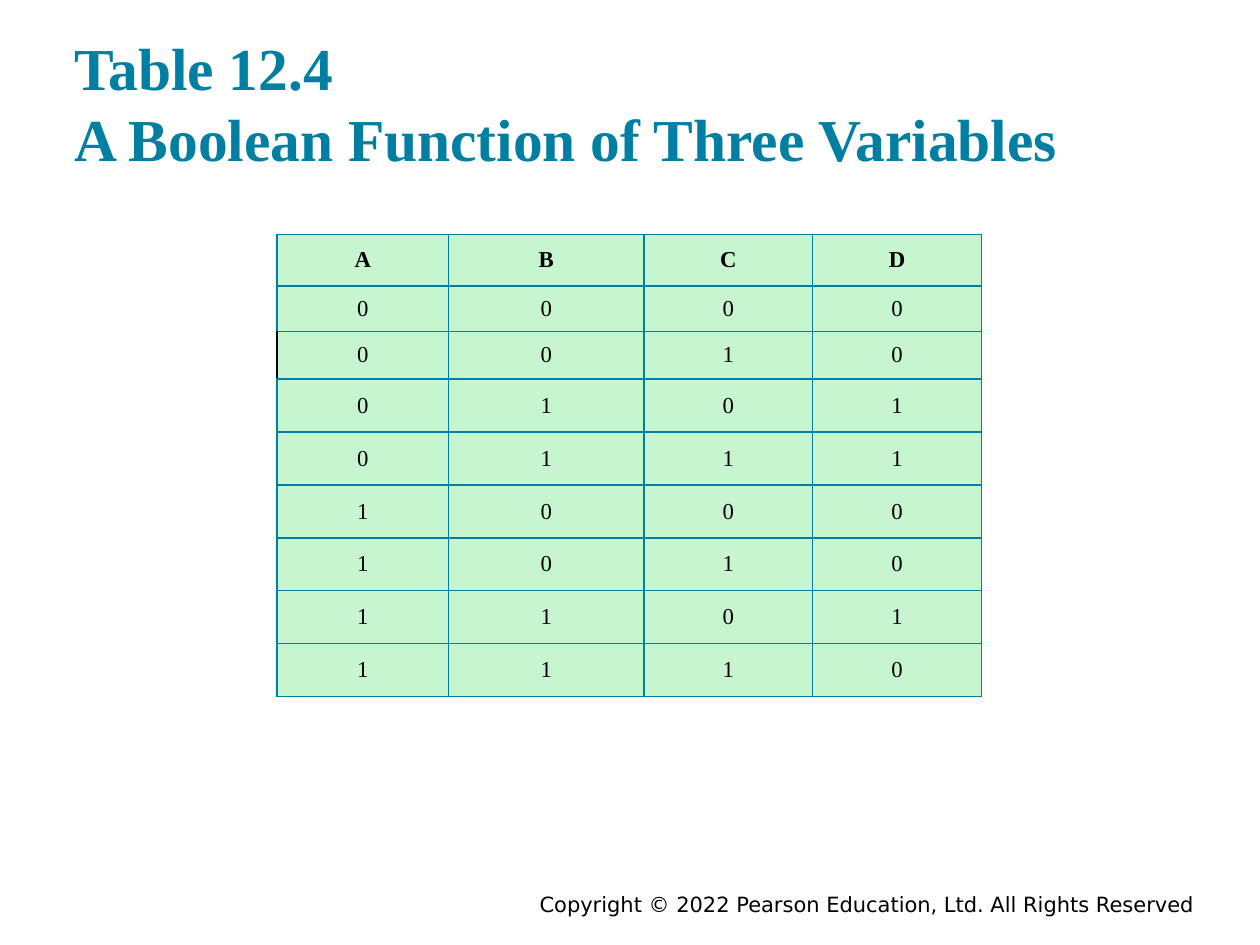
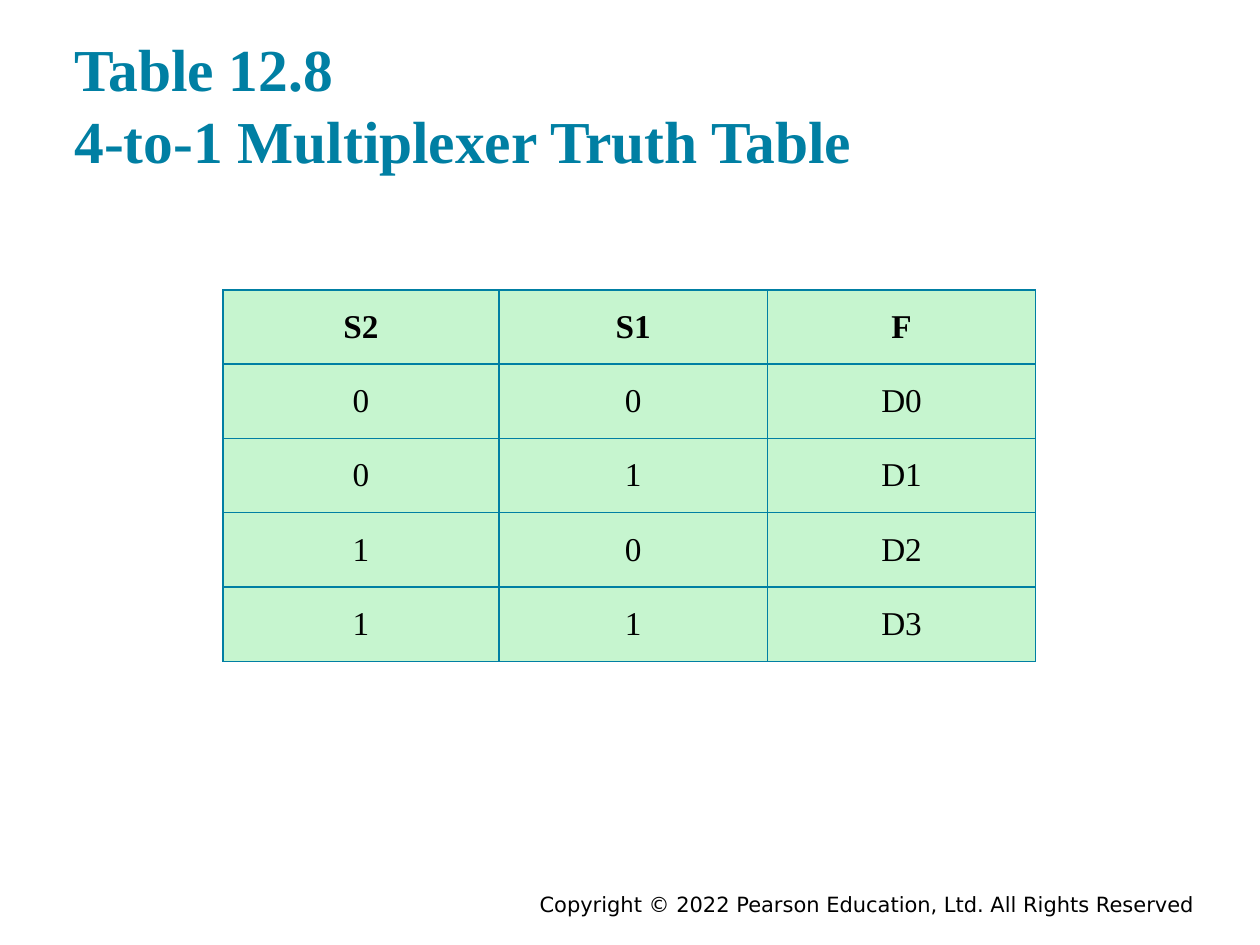
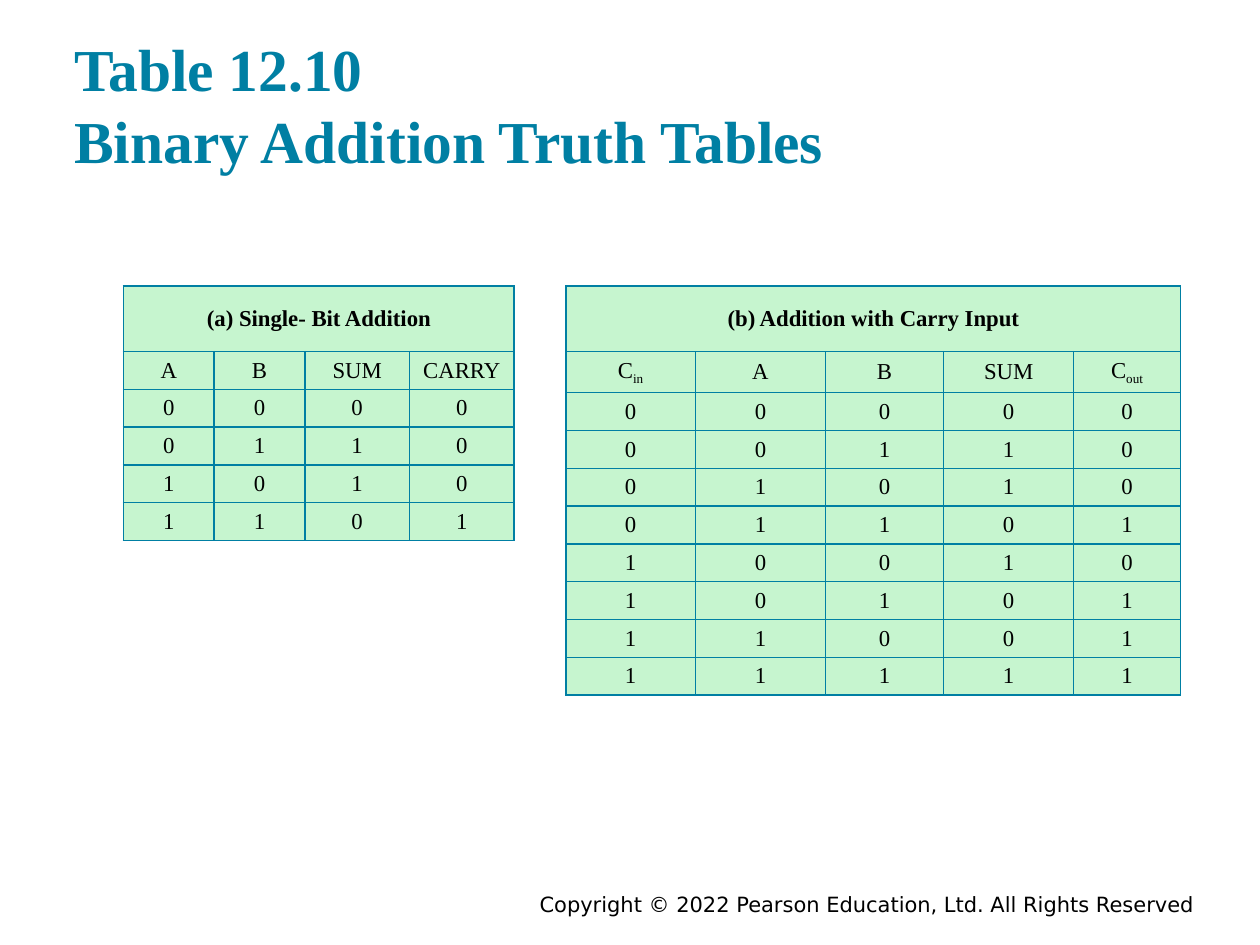
from copy import deepcopy
from dataclasses import dataclass

from lxml import etree
from pptx import Presentation
from pptx.dml.color import RGBColor
from pptx.enum.text import MSO_ANCHOR, MSO_AUTO_SIZE, PP_ALIGN
from pptx.oxml.ns import qn
from pptx.slide import Slide
from pptx.table import _Cell
from pptx.text.text import TextFrame, _Paragraph
from pptx.util import Inches, Pt

LEFT, CENTER, RIGHT = PP_ALIGN.LEFT, PP_ALIGN.CENTER, PP_ALIGN.RIGHT
TOP, MIDDLE, BOTTOM = MSO_ANCHOR.TOP, MSO_ANCHOR.MIDDLE, MSO_ANCHOR.BOTTOM
NO_AUTOFIT = MSO_AUTO_SIZE.NONE
TITLE_ONLY = 5

TEAL, MINT, BLACK = "007FA3", "C6F5CF", "000000"
SERIF, SANS = "Times New Roman", "DejaVu Sans"
COPYRIGHT = "Copyright © 2022 Pearson Education, Ltd. All Rights Reserved"


@dataclass(frozen=True)
class TruthTable:
    """Content and geometry of one truth table, with lengths in inches."""

    left: float
    top: float
    columns: tuple[float, ...]
    row_heights: tuple[float, ...]
    header: str
    body: tuple[str, ...]
    caption: str = ""
    size: float = 13
    margins: tuple[float, float] = (0.1, 0.05)
    black_left_row: int | None = None


@dataclass(frozen=True)
class TablePage:
    """One slide: its numbered title and its truth tables."""

    number: str
    heading: str
    tables: tuple[TruthTable, ...]
    title_top: float = 0.27


PAGES = (
    TablePage("Table 12.4 ", "A Boolean Function of Three Variables", (
        TruthTable(
            2.2, 1.86, (1.36, 1.55, 1.34, 1.34), (0.41, 0.36, 0.38) + (0.42,) * 6,
            "A B C D",
            ("0 0 0 0", "0 0 1 0", "0 1 0 1", "0 1 1 1",
             "1 0 0 0", "1 0 1 0", "1 1 0 1", "1 1 1 0"),
            black_left_row=2),
    ), title_top=0.26),
    TablePage("Table 12.8 ", "4-to-1 Multiplexer Truth Table", (
        TruthTable(
            1.77, 2.3, (2.19, 2.13, 2.13), (0.59,) * 5,
            "S2 S1 F", ("0 0 D0", "0 1 D1", "1 0 D2", "1 1 D3"),
            size=19, margins=(0.14, 0.07)),
    )),
    TablePage("Table 12.10 ", "Binary Addition Truth Tables", (
        TruthTable(
            0.98, 2.27, (0.72, 0.72, 0.83, 0.83), (0.52,) + (0.3,) * 5,
            "A B SUM CARRY", ("0 0 0 0", "0 1 1 0", "1 0 1 0", "1 1 0 1"),
            caption="(a) Single- Bit Addition", margins=(0.09, 0.05)),
        TruthTable(
            4.49, 2.27, (1.03, 1.03, 0.94, 1.03, 0.85), (0.52,) + (0.3,) * 9,
            "C_in A B SUM C_out",
            ("0 0 0 0 0", "0 0 1 1 0", "0 1 0 1 0", "0 1 1 0 1",
             "1 0 0 1 0", "1 0 1 0 1", "1 1 0 0 1", "1 1 1 1 1"),
            caption="(b) Addition with Carry Input", margins=(0.09, 0.05)),
    )),
)


def rgb(value: str) -> RGBColor:
    """Turn a hex string into a colour."""
    return RGBColor.from_string(value)


def add_text(paragraph: _Paragraph, text: str, *, size: float, font: str = SERIF,
             color: str = BLACK, bold: bool = False, align: PP_ALIGN = CENTER,
             subscript: bool = False) -> None:
    """Append a formatted run to a paragraph."""
    paragraph.alignment = align
    run = paragraph.add_run()
    run.text = text
    run.font.size = Pt(size)
    run.font.name = font
    run.font.bold = bold
    run.font.color.rgb = rgb(color)
    if subscript:
        run.font._element.set("baseline", "-25000")


def set_frame(frame: TextFrame, anchor: MSO_ANCHOR, side: float, end: float) -> None:
    """Set the wrapping, anchor and margins of a text frame."""
    frame.word_wrap = True
    frame.auto_size = NO_AUTOFIT
    frame.vertical_anchor = anchor
    frame.margin_left = frame.margin_right = Inches(side)
    frame.margin_top = frame.margin_bottom = Inches(end)


def add_title(slide: Slide, page: TablePage) -> None:
    """Place the two-line title in the title placeholder."""
    title = slide.shapes.title
    title.left, title.top = Inches(0.49), Inches(page.title_top)
    title.width, title.height = Inches(9), Inches(1.22)
    set_frame(title.text_frame, BOTTOM, 0.1, 0.1)
    paragraph = title.text_frame.paragraphs[0]
    style = {"size": 34, "color": TEAL, "bold": True, "align": LEFT}
    add_text(paragraph, page.number, **style)
    paragraph.add_line_break()
    line_break = paragraph._p.find(qn("a:br"))
    line_break.append(deepcopy(paragraph.runs[0].font._element))
    add_text(paragraph, page.heading, **style)


def add_footer(slide: Slide) -> None:
    """Add the copyright line at the lower right."""
    footer = slide.shapes.add_textbox(Inches(1.75), Inches(7.03), Inches(7.83), Inches(0.22))
    set_frame(footer.text_frame, TOP, 0.1, 0.05)
    add_text(footer.text_frame.paragraphs[0], COPYRIGHT, size=12, font=SANS, align=RIGHT)


def set_borders(cell: _Cell, left_color: str) -> None:
    """Draw one-point borders on all sides of a cell."""
    properties = cell._tc.get_or_add_tcPr()
    for side, color in (("L", left_color), ("R", TEAL), ("T", TEAL), ("B", TEAL)):
        line = etree.SubElement(properties, qn(f"a:ln{side}"), w=str(Pt(1)))
        fill = etree.SubElement(line, qn("a:solidFill"))
        etree.SubElement(fill, qn("a:srgbClr"), val=color)


def format_cell(cell: _Cell, spec: TruthTable, left_color: str) -> None:
    """Apply the shared borders, fill, anchor and margins to a cell."""
    set_borders(cell, left_color)
    cell.fill.solid()
    cell.fill.fore_color.rgb = rgb(MINT)
    cell.vertical_anchor = MIDDLE
    side, end = spec.margins
    cell.margin_left = cell.margin_right = Inches(side)
    cell.margin_top = cell.margin_bottom = Inches(end)


def add_truth_table(slide: Slide, spec: TruthTable) -> None:
    """Draw a truth table, with a merged caption row if it has a caption."""
    rows = [line.split() for line in (spec.header, *spec.body)]
    if spec.caption:
        rows.insert(0, [spec.caption])
    table = slide.shapes.add_table(
        len(rows), len(spec.columns), Inches(spec.left), Inches(spec.top),
        Inches(sum(spec.columns)), Inches(sum(spec.row_heights))).table
    table.first_row = table.horz_banding = False
    for column, width in zip(table.columns, spec.columns):
        column.width = Inches(width)
    for index, (row, height) in enumerate(zip(table.rows, spec.row_heights)):
        row.height = Inches(height)
        left_colors = [TEAL] * len(spec.columns)
        if index == spec.black_left_row:
            left_colors[0] = BLACK
        for cell, left_color in zip(row.cells, left_colors):
            format_cell(cell, spec, left_color)
        for cell, label in zip(row.cells, rows[index]):
            paragraph = cell.text_frame.paragraphs[0]
            symbol, _, suffix = label.partition("_")
            add_text(paragraph, symbol, size=spec.size, bold=index == 0)
            if suffix:
                add_text(paragraph, suffix, size=spec.size, subscript=True)
    if spec.caption:
        table.cell(0, 0).merge(table.cell(0, len(spec.columns) - 1))


def main() -> None:
    """Build and save the three slides."""
    deck = Presentation()
    deck.slide_width, deck.slide_height = Inches(10), Inches(7.5)
    for page in PAGES:
        slide = deck.slides.add_slide(deck.slide_layouts[TITLE_ONLY])
        add_footer(slide)
        add_title(slide, page)
        for spec in page.tables:
            add_truth_table(slide, spec)
    deck.save("out.pptx")


if __name__ == "__main__":
    main()
